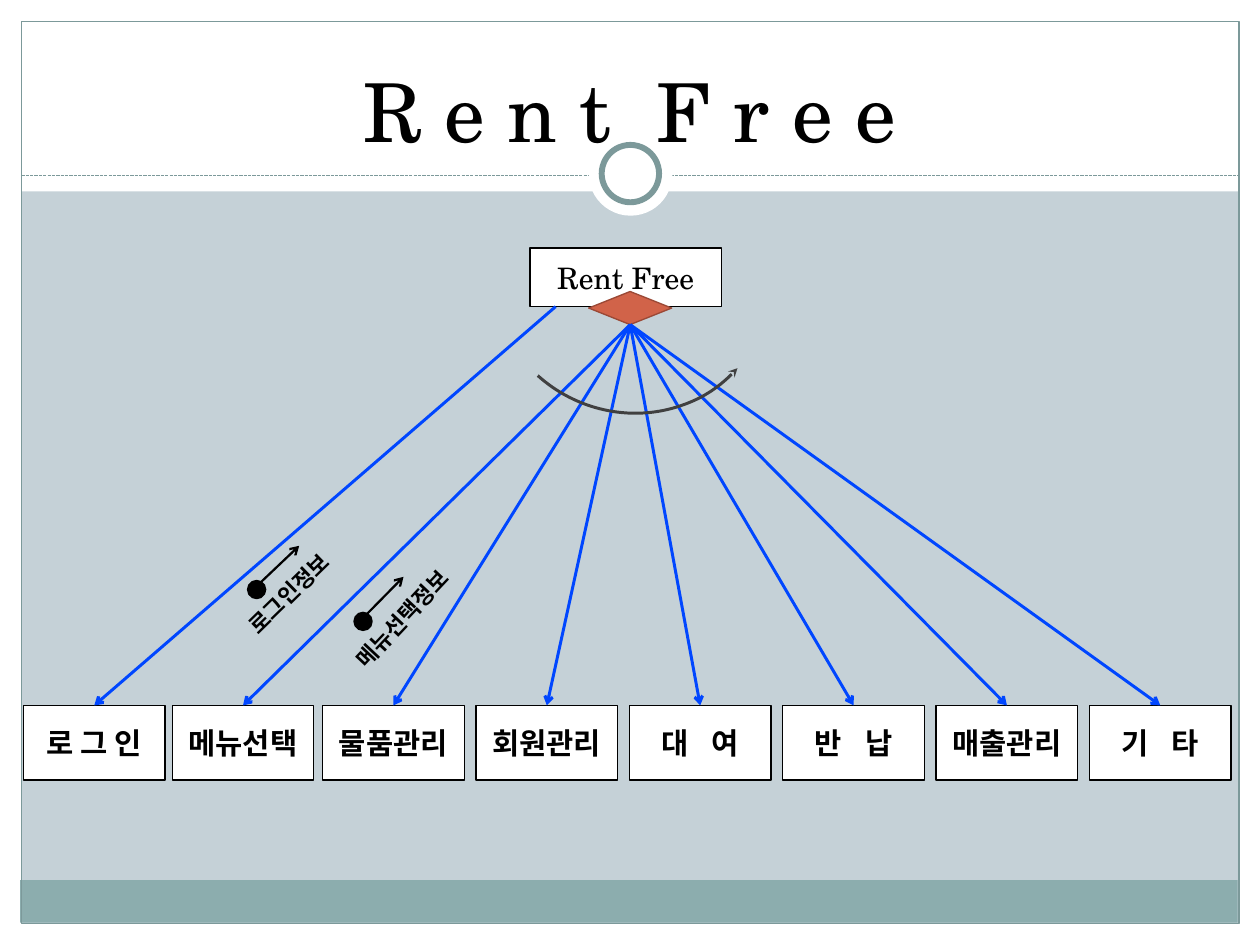
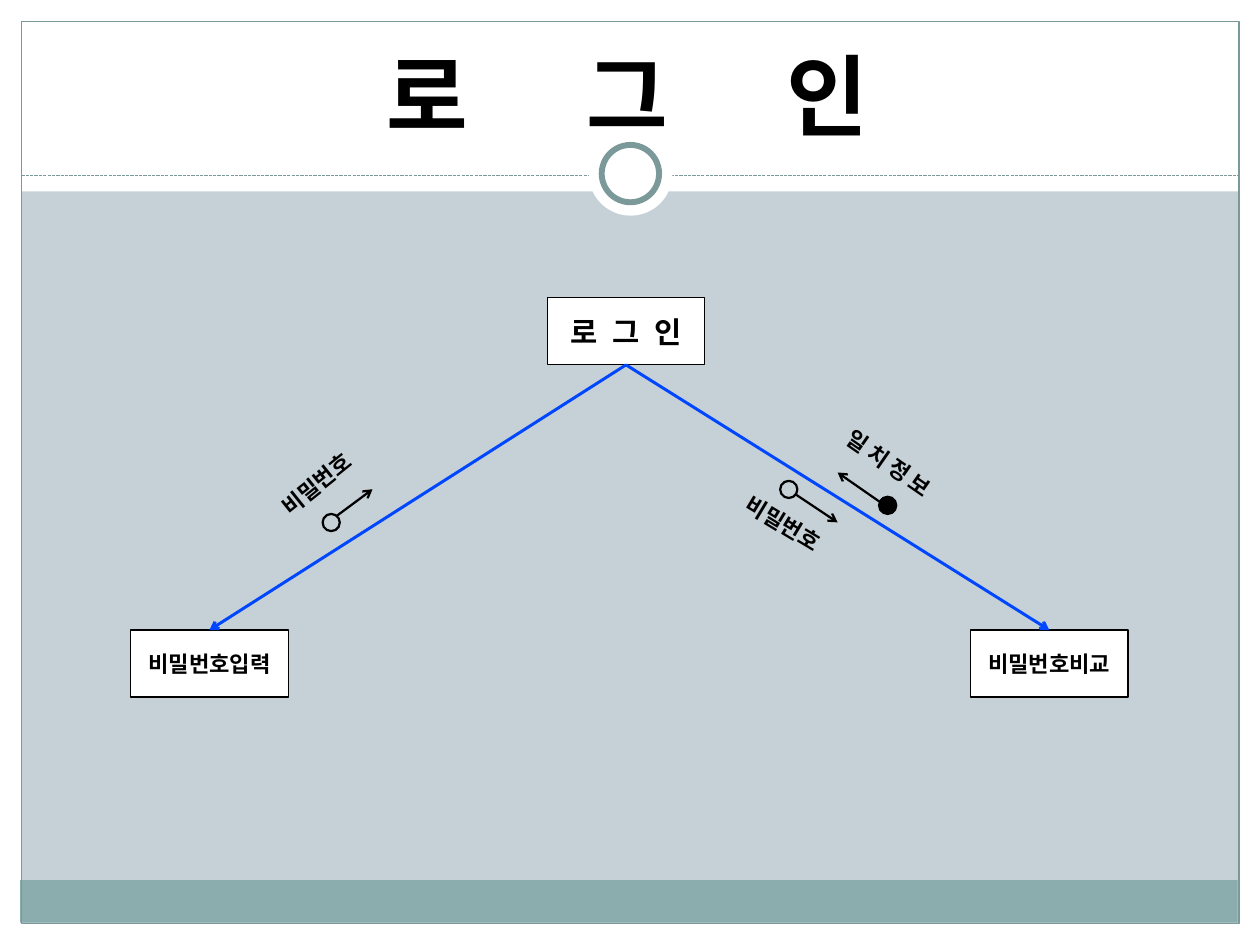
from dataclasses import dataclass

from lxml import etree
from pptx import Presentation
from pptx.dml.color import RGBColor
from pptx.enum import dml, shapes, text
from pptx.oxml.ns import qn
from pptx.util import Cm, Pt


@dataclass(frozen=True)
class Theme:
    back: str = "C5D1D7"
    white: str = "FFFFFF"
    black: str = "000000"
    band: str = "8CADAE"
    edge: str = "7C999A"
    link: str = "0046FF"
    arc: str = "404040"
    gem: str = "D16349"
    rim: str = "9B4936"
    serif: str = "TeX Gyre Schola"
    sans: str = "Noto Sans CJK KR"
    large: int = 20
    small: int = 15


T = Theme()
KIND = shapes.MSO_SHAPE
LINE = shapes.MSO_CONNECTOR.STRAIGHT


def dress(shape, fill=None, line=None, width=0.9, **ends):
    """Set fill, outline and arrowheads (headEnd or tailEnd) without shadow."""
    if fill:
        shape.fill.solid()
        shape.fill.fore_color.rgb = RGBColor.from_string(fill)
    elif hasattr(shape, "fill"):
        shape.fill.background()
    if line:
        shape.line.color.rgb = RGBColor.from_string(line)
        shape.line.width = Pt(width)
    else:
        shape.line.fill.background()
    props = shape.element.spPr
    for tag, tip in ends.items():
        etree.SubElement(props.find(qn("a:ln")), qn("a:" + tag), type=tip)
    etree.SubElement(props, qn("a:effectLst"))
    return shape


def write(shape, words, size, font=T.serif, bold=True, gap=0,
          align=text.PP_ALIGN.CENTER, anchor=text.MSO_ANCHOR.MIDDLE):
    """Write words parted by | with spaces widened by gap points."""
    frame = shape.text_frame
    frame.word_wrap = True
    frame.auto_size = text.MSO_AUTO_SIZE.NONE
    frame.vertical_anchor = anchor
    par = frame.paragraphs[0]
    par.alignment = align
    for i, word in enumerate(words.split("|")):
        if i:
            par.add_run().text = " "
        par.add_run().text = word
    par.font.size, par.font.bold, par.font.name = Pt(size), bold, font
    par.font.color.rgb = RGBColor.from_string(T.black)
    for base in shape.element.iter(qn("a:defRPr")):
        etree.SubElement(base, qn("a:ea"), typeface=T.sans)
    for run in shape.element.iter(qn("a:r")):
        if gap and run.text == " ":
            run.get_or_add_rPr().set("spc", str(round(gap * 100)))


deck = Presentation()
deck.slide_width, deck.slide_height = Cm(30.07), Cm(22.56)
layout = deck.slide_layouts[5]
layout.background.fill.solid()
layout.background.fill.fore_color.rgb = RGBColor.from_string(T.back)
menu, login = [deck.slides.add_slide(layout) for _ in range(2)]

# Shared frame: drawn once, then moved to the layout
decor = []
for kind, at, fill, line, width in (
    (KIND.RECTANGLE, (0, 22.05, 30.07, 0.51), T.white, None, 0),
    (KIND.RECTANGLE, (0, 0, 30.07, 4.57), T.white, None, 0),
    (KIND.RECTANGLE, (0, 0, 0.51, 22.56), T.white, None, 0),
    (KIND.RECTANGLE, (29.56, 0, 0.51, 22.56), T.white, None, 0),
    (KIND.RECTANGLE, (0.48, 21.01, 29.06, 1.02), T.band, None, 0),
    (KIND.RECTANGLE, (0.51, 0.51, 29.06, 21.54), None, T.edge, 0.75),
    (KIND.OVAL, (14.05, 3.15, 2, 2), T.white, None, 0),
    (KIND.OVAL, (14.36, 3.46, 1.37, 1.37), T.white, T.edge, 4),
):
    part = menu.shapes.add_shape(kind, *map(Cm, at))
    decor.append(dress(part, fill, line, width))
rule = menu.shapes.add_connector(LINE, Cm(0.51), Cm(4.19), Cm(29.56), Cm(4.19))
dress(rule, line=T.edge, width=0.75)
rule.line.dash_style = dml.MSO_LINE.SQUARE_DOT
decor.insert(6, rule)
for i, part in enumerate(decor):
    part.element.xpath(".//p:cNvPr")[0].set("id", str(100 + i))
    layout.shapes.element.insert(2 + i, part.element)

# Titles
for slide, words, at, size, bold, gap in (
    (menu, "R e n t|F r e e", (0.99, 0.76, 28.07, 3.18), 55, False, 15.3),
    (login, "로|그|인", (0.94, 1.17, 28.07, 2.49), 60, True, 66.7),
):
    title = slide.shapes.title
    title.left, title.top, title.width, title.height = map(Cm, at)
    frame = title.text_frame
    frame.margin_left = frame.margin_right = Cm(0.3)
    frame.margin_top = frame.margin_bottom = Cm(0.15)
    write(title, words, size, bold=bold, gap=gap, anchor=text.MSO_ANCHOR.BOTTOM)

# Module boxes, the root of each slide first
cols = [0.56, 4.11] + [7.7 + 3.66 * i for i in range(6)]
names = ("로 그 인", "메뉴선택", "물품관리", "회원관리",
         "대|여", "반|납", "매출관리", "기|타")
trees = (
    (menu, [("Rent Free", (12.65, 5.92, 4.57, 1.4), T.large, False, 0)]
     + [(name, (x, 16.84, 3.38, 1.78), T.large, True, 11.1)
        for name, x in zip(names, cols)]),
    (login, [("로|그|인", (13.06, 7.11, 3.76, 1.6), T.large, True, 5.6),
             ("비밀번호입력", (3.12, 15.04, 3.76, 1.6), T.small, True, 0),
             ("비밀번호비교", (23.16, 15.04, 3.76, 1.6), T.small, True, 0)]),
)
for slide, rows in trees:
    boxes = []
    for words, at, size, bold, gap in rows:
        box = slide.shapes.add_shape(KIND.RECTANGLE, *map(Cm, at))
        dress(box, T.white, T.black)
        # "로 그 인" in the menu row has plain single spaces
        write(box, words, size, bold=bold, gap=gap if "|" in words else 0)
        boxes.append(box)
    root, *kids = boxes
    hub = root
    if slide is menu:
        hub = slide.shapes.add_shape(
            KIND.DIAMOND, Cm(14.05), Cm(6.96), Cm(1.98), Cm(0.79))
        dress(hub, T.gem, T.rim)
    for i, kid in enumerate(kids):
        link = slide.shapes.add_connector(LINE, Cm(13.26), Cm(7.32), 0, 0)
        if slide is login or i:
            link.begin_connect(hub, 2)
        link.end_connect(kid, 0)
        dress(link, line=T.link, width=2, tailEnd="arrow")

arc = menu.shapes.add_shape(KIND.ARC, Cm(11.73), Cm(3.07), Cm(6.63), Cm(6.86))
arc.rotation = 131.9
dress(arc, line=T.arc, width=2, headEnd="stealth")

# Data flows: label place and turn, dot, arrow
for slide, words, at, turn, dot, fill, ends in (
    (menu, "메뉴선택정보", (7.77, 14.07, 4.11), 313.2,
     (8.46, 14.63), T.black, (8.48, 14.94, 9.63, 13.77)),
    (menu, "로그인정보", (5.33, 13.49, 3.61), 315.7,
     (5.92, 13.87), T.black, (5.94, 14.17, 7.14, 13.03)),
    (login, "비밀번호", (6.3, 11.02, 2.72), 321.2,
     (7.7, 12.27), None, (8.03, 12.32, 8.89, 11.68)),
    (login, "비밀번호", (17.45, 12.12, 2.74), 31.1,
     (18.62, 11.48), None, (18.97, 11.79, 19.99, 12.47)),
    (login, "일 치 정 보", (19.74, 10.85, 3.61), 34.9,
     (20.98, 11.86), T.black, (21.34, 12.22, 19.99, 11.28)),
):
    flow = slide.shapes.add_group_shape().shapes
    ball = flow.add_shape(KIND.FLOWCHART_CONNECTOR,
                          *map(Cm, dot), Cm(0.41), Cm(0.41))
    dress(ball, fill, T.black, 1.5)
    arrow = flow.add_connector(LINE, *map(Cm, ends))
    dress(arrow, line=T.black, width=1.5, tailEnd="arrow")
    label = slide.shapes.add_textbox(*map(Cm, at), Cm(0.89))
    label.rotation = turn
    write(label, words, T.small, T.sans, align=text.PP_ALIGN.LEFT,
          anchor=text.MSO_ANCHOR.TOP)

deck.save("out.pptx")
